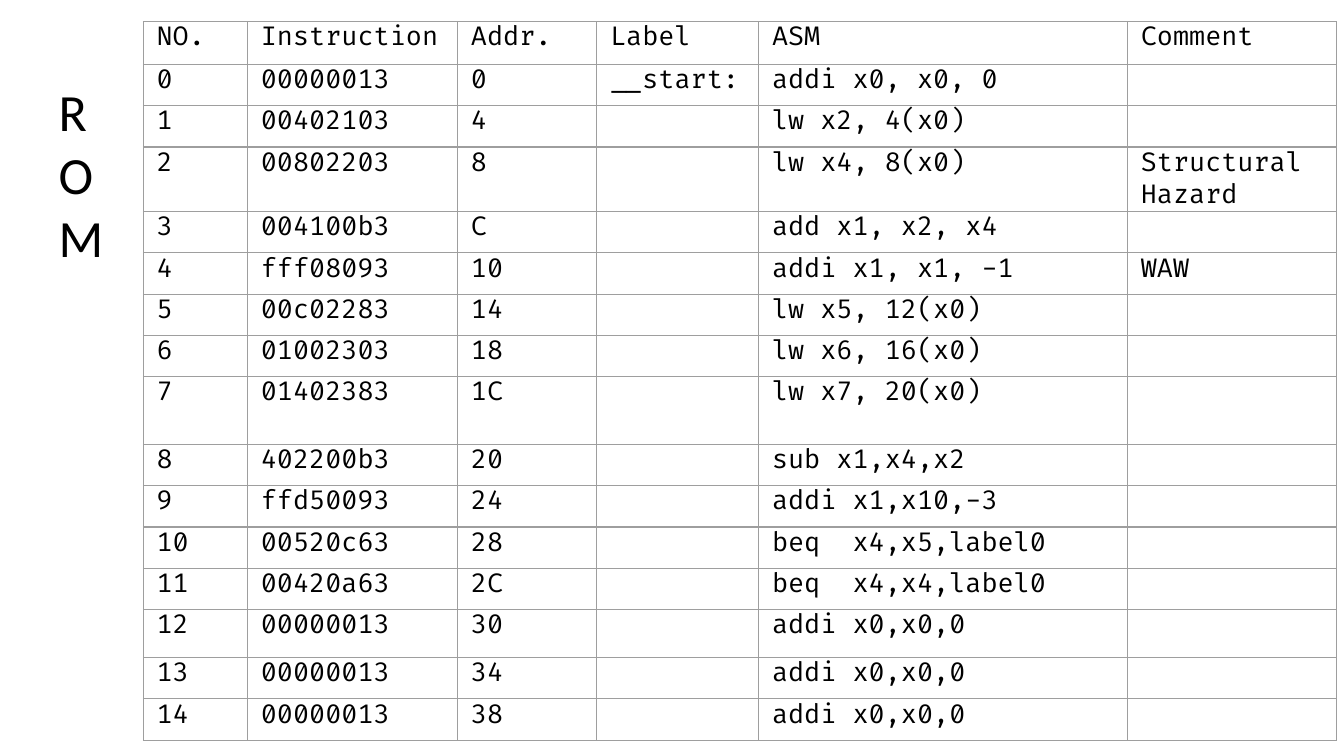
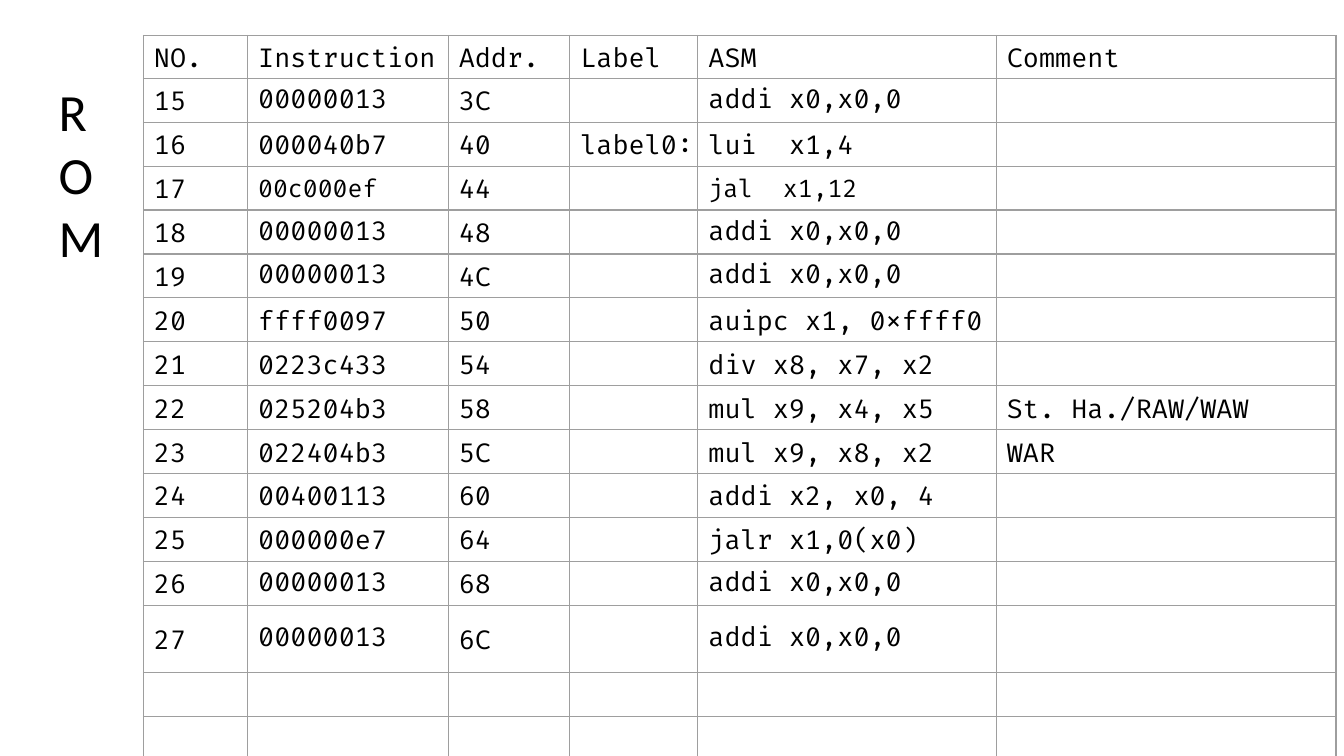
from lxml import etree
from pptx import Presentation
from pptx.dml.color import RGBColor
from pptx.enum.text import MSO_ANCHOR
from pptx.oxml.ns import qn
from pptx.util import Cm, Pt

TOP = MSO_ANCHOR.TOP
MIDDLE = MSO_ANCHOR.MIDDLE

COLORS = {"text": "000000", "grid": "9E9E9E"}
TITLE_FONT = "Calibri"
CODE_FONT = "Fira Code"
CODE_SIZE = 14
GRID_WIDTH = Pt(0.75)
TABLE_LEFT = 2.71

HEADER = ("NO.", "Instruction", "Addr.", "Label", "ASM", "Comment")
NOP = ("00000013", "addi x0,x0,0")
JUMP = ("00c000ef", "jal  x1,12")

FIRST_PROGRAM = [
    ("00000013", "addi x0, x0, 0"),
    ("00402103", "lw x2, 4(x0)"),
    ("00802203", "lw x4, 8(x0)"),
    ("004100b3", "add x1, x2, x4"),
    ("fff08093", "addi x1, x1, -1"),
    ("00c02283", "lw x5, 12(x0)"),
    ("01002303", "lw x6, 16(x0)"),
    ("01402383", "lw x7, 20(x0)"),
    ("402200b3", "sub x1,x4,x2"),
    ("ffd50093", "addi x1,x10,-3"),
    ("00520c63", "beq  x4,x5,label0"),
    ("00420a63", "beq  x4,x4,label0"),
    NOP,
    NOP,
    NOP,
]
SECOND_PROGRAM = [
    NOP,
    ("000040b7", "lui  x1,4"),
    JUMP,
    NOP,
    NOP,
    ("ffff0097", "auipc x1, 0xffff0"),
    ("0223c433", "div x8, x7, x2"),
    ("025204b3", "mul x9, x4, x5"),
    ("022404b3", "mul x9, x8, x2"),
    ("00400113", "addi x2, x0, 4"),
    ("000000e7", "jalr x1,0(x0)"),
    NOP,
    NOP,
]
LABELS = {0: "__start:", 16: "label0:"}
COMMENTS = {2: "Structural Hazard", 4: "WAW", 22: "St. Ha./RAW/WAW", 23: "WAR"}


def write_text(frame, text, *, font, size, color="text", spacing=None, gap=None):
    frame.word_wrap = True
    paragraph = frame.paragraphs[0]
    paragraph.line_spacing = spacing
    if gap is not None:
        paragraph.space_before = paragraph.space_after = Pt(gap)
    run = paragraph.add_run()
    run.text = text
    run.font.name = font
    run.font.size = Pt(size)
    run.font.color.rgb = RGBColor.from_string(COLORS[color])


def set_margins(target, left, top, right, bottom):
    target.margin_left, target.margin_top = Cm(left), Cm(top)
    target.margin_right, target.margin_bottom = Cm(right), Cm(bottom)


def add_title(slide, text):
    title = slide.shapes.add_textbox(Cm(0.86), Cm(1.25), Cm(1.65), Cm(4.5))
    set_margins(title.text_frame, 0.25, 0.25, 0.25, 0.25)
    write_text(title.text_frame, text, font=TITLE_FONT, size=28)


def draw_borders(cell):
    properties = cell._tc.get_or_add_tcPr()
    for side in ("lnL", "lnR", "lnT", "lnB"):
        line = etree.SubElement(properties, qn(f"a:{side}"), w=str(GRID_WIDTH))
        fill = etree.SubElement(line, qn("a:solidFill"))
        etree.SubElement(fill, qn("a:srgbClr"), val=COLORS["grid"])


def program_rows(program, first):
    return [HEADER] + [
        (str(number), code, f"{4 * number:X}", LABELS.get(number, ""), asm,
         COMMENTS.get(number, ""))
        for number, (code, asm) in enumerate(program, first)
    ]


def fill_cell(cell, text, anchor, margins, spacing):
    draw_borders(cell)
    cell.fill.background()
    cell.vertical_anchor = anchor
    set_margins(cell, *margins)
    if text:
        write_text(cell.text_frame, text, font=CODE_FONT, gap=12,
                   size=13 if text in JUMP else CODE_SIZE,
                   spacing=None if text in NOP else spacing)
    else:
        end = cell.text_frame.paragraphs[0]._p.get_or_add_endParaRPr()
        end.set("sz", str(CODE_SIZE * 100))


def add_listing(slide, rows, top, widths, row_height, special_heights,
                anchor, margins, spacing=None):
    heights = [special_heights.get(i, row_height) for i in range(len(rows))]
    frame = slide.shapes.add_table(len(rows), len(widths), Cm(TABLE_LEFT), Cm(top),
                                   Cm(sum(widths)), Cm(sum(heights)))
    table = frame.table
    table.first_row = table.horz_banding = False
    for column, width in zip(table.columns, widths):
        column.width = Cm(width)
    for row, height, texts in zip(table.rows, heights, rows):
        row.height = Cm(height)
        for cell, text in zip(row.cells, texts):
            fill_cell(cell, text, anchor, margins, spacing)


def add_rom_slide(deck, rows, **layout):
    slide = deck.slides.add_slide(deck.slide_layouts[6])
    add_title(slide, "ROM")
    add_listing(slide, rows, **layout)


def main():
    deck = Presentation()
    deck.slide_width, deck.slide_height = Cm(25.4), Cm(14.29)

    add_rom_slide(
        deck, program_rows(FIRST_PROGRAM, 0), top=0.41,
        widths=(1.97, 3.97, 2.63, 3.06, 6.97, 3.95),
        row_height=0.78, special_heights={0: 0.81, 3: 1.22, 8: 1.28, 13: 0.91},
        anchor=TOP, margins=(0.25, 0, 0.25, 0))

    spare_rows = [("",) * len(HEADER)] * 2
    add_rom_slide(
        deck, program_rows(SECOND_PROGRAM, 15) + spare_rows, top=0.67,
        widths=(1.97, 3.79, 2.3, 2.42, 5.64, 6.42),
        row_height=0.83, special_heights={0: 0.81, 13: 1.27},
        anchor=MIDDLE, margins=(0.2, 0, 0, 0), spacing=1.15)

    deck.save("out.pptx")


if __name__ == "__main__":
    main()
